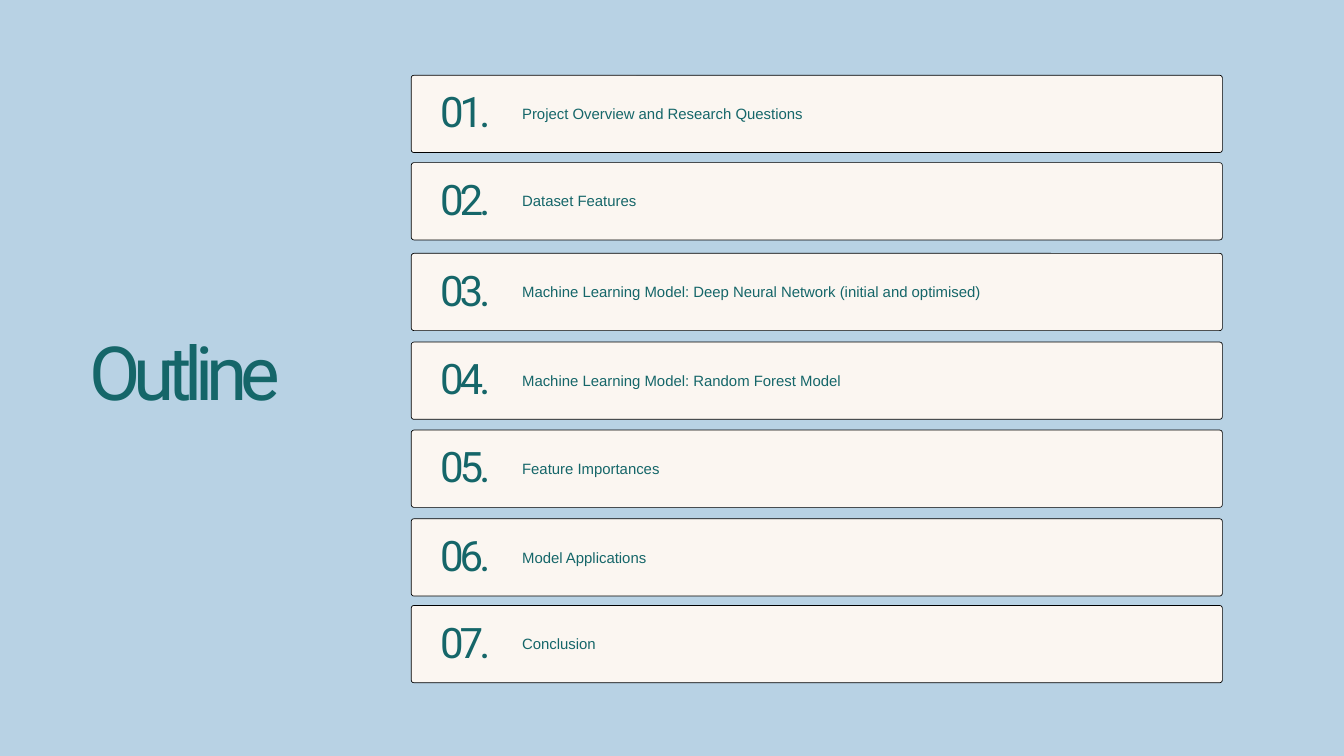
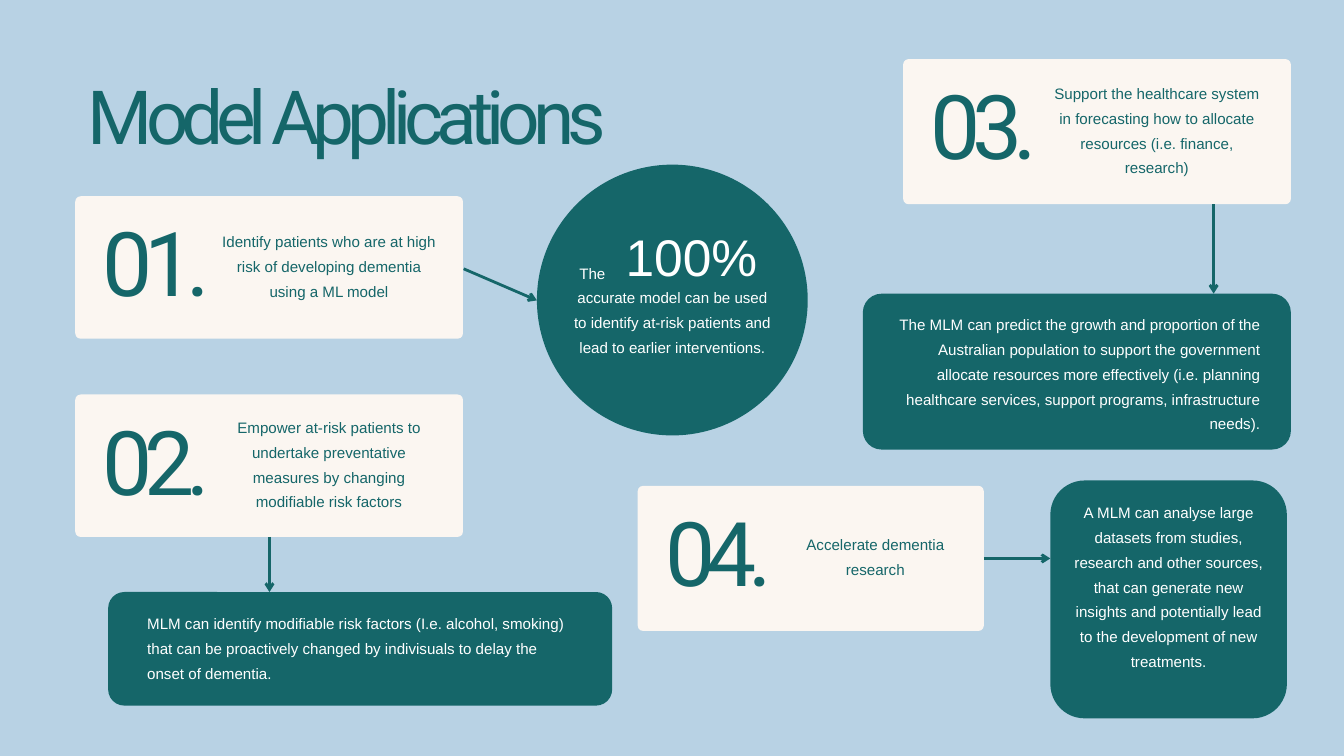
from pptx import Presentation
from pptx.dml.color import RGBColor
from pptx.enum.shapes import MSO_CONNECTOR as Link, MSO_SHAPE as Preset
from pptx.enum.text import MSO_AUTO_SIZE as AutoSize, PP_ALIGN as Align
from pptx.oxml.ns import qn
from pptx.util import Inches, Pt
from lxml.etree import SubElement

SKY = RGBColor(0xB8, 0xD2, 0xE4)
TEAL = RGBColor(0x15, 0x66, 0x69)
CREAM = RGBColor(0xFB, 0xF6, 0xF1)
WHITE = RGBColor(0xFF, 0xFF, 0xFF)
BLACK = RGBColor(0, 0, 0)

WIDTH, HEIGHT = Inches(20), Inches(11.25)
COLUMNS, ROWS = 20, 11.25
BODY_SIZE = 16.2
BODY_LEADING = 1.635
TEXT_LINE = 0.365  # height of one body line, in rows

TOPICS = [
    (1.12, "Project Overview and Research Questions"),
    (2.42, "Dataset Features"),
    (3.77, "Machine Learning Model: Deep Neural Network (initial and optimised)"),
    (5.09, "Machine Learning Model: Random Forest Model"),
    (6.40, "Feature Importances"),
    (7.72, "Model Applications"),
    (9.01, "Conclusion"),
]

# card box, label width, label lines, label
APPLICATIONS = [
    ((1.12, 2.92, 5.77, 2.12), 3.23, 3,
     "Identify patients who are at high risk of developing dementia using a ML model"),
    ((1.12, 5.87, 5.77, 2.12), 3.23, 4,
     "Empower at-risk patients to undertake preventative measures by changing "
     "modifiable risk factors"),
    ((13.44, 0.88, 5.77, 2.16), 3.23, 4,
     "Support the healthcare system in forecasting how to allocate resources "
     "(i.e. finance, research)"),
    ((9.49, 7.23, 5.15, 2.16), 2.75, 2, "Accelerate dementia research"),
]

# panel box, corner radius, text box, alignment, text
OUTCOMES = [
    ((1.61, 8.81, 7.5, 1.69), 0.24, (2.19, 9.05, 6.32, 1.06), Align.LEFT,
     "MLM can identify modifiable risk factors (I.e. alcohol, smoking) that can be "
     "proactively changed by indivisuals to delay the onset of dementia."),
    ((12.84, 4.37, 6.37, 2.32), 0.28, (13.17, 4.6, 5.58, 1.84), Align.RIGHT,
     "The MLM can predict the growth and proportion of the Australian population to "
     "support the government allocate resources more effectively (i.e. planning "
     "healthcare services, support programs, infrastructure needs)."),
    ((15.63, 7.15, 3.52, 3.54), 0.51, (15.89, 7.4, 3, 2.93), Align.CENTER,
     "A MLM can analyse large datasets from studies, research and other sources, "
     "that can generate new insights and potentially lead to the development of "
     "new treatments."),
]

ARROWS = [
    ((6.9, 4), (7.99, 4.47)),
    ((4.01, 7.99), (4.01, 8.81)),
    ((18.06, 3.04), (18.06, 4.37)),
    ((14.64, 8.31), (15.63, 8.31)),
]


class Deck:
    """Draws styled elements on the current slide; boxes are in columns and rows."""

    def __init__(self):
        self.prs = Presentation()
        self.prs.slide_width, self.prs.slide_height = WIDTH, HEIGHT
        self.slide = None

    def new_slide(self):
        self.slide = self.prs.slides.add_slide(self.prs.slide_layouts[6])
        background = self.slide.background.fill
        background.solid()
        background.fore_color.rgb = SKY

    def place(self, x, y):
        return round(x * WIDTH / COLUMNS), round(y * HEIGHT / ROWS)

    def shape(self, preset, box, fill, outline=None):
        shape = self.slide.shapes.add_shape(
            preset, *self.place(*box[:2]), *self.place(*box[2:]))
        shape.shadow.inherit = False
        shape.fill.solid()
        shape.fill.fore_color.rgb = fill
        if outline is None:
            shape.line.fill.background()
        else:
            shape.line.color.rgb = outline
            shape.line.width = Pt(0.75)
        return shape

    def rounded(self, box, radius, fill, outline=None):
        shape = self.shape(Preset.ROUNDED_RECTANGLE, box, fill, outline)
        shape.adjustments[0] = radius / min(box[2:])

    def text(self, box, words, size=BODY_SIZE, color=TEAL, align=Align.LEFT,
             font="Arial", leading=BODY_LEADING, tracking=0):
        """Leading and tracking are shares of the text size."""
        textbox = self.slide.shapes.add_textbox(
            *self.place(*box[:2]), *self.place(*box[2:]))
        frame = textbox.text_frame
        frame.word_wrap = True
        frame.auto_size = AutoSize.SHAPE_TO_FIT_TEXT
        frame.margin_left = frame.margin_right = 0
        frame.margin_top = frame.margin_bottom = 0
        paragraph = frame.paragraphs[0]
        paragraph.alignment = align
        paragraph.line_spacing = Pt(round(size * leading, 1))
        run = paragraph.add_run()
        run.text = words
        run.font.name = font
        run.font.size = Pt(size)
        run.font.color.rgb = color
        if tracking:
            run.font._element.set("spc", str(round(size * tracking * 100)))

    def display(self, box, words, size=80, align=Align.LEFT):
        """Tightly set heading or number."""
        self.text(box, words, size, align=align, font="Roboto",
                  leading=0.96, tracking=-0.096)

    def arrow(self, start, end):
        arrow = self.slide.shapes.add_connector(
            Link.STRAIGHT, *self.place(*start), *self.place(*end))
        arrow.line.color.rgb = TEAL
        arrow.line.width = Pt(3)
        SubElement(arrow.line._get_or_add_ln(), qn("a:tailEnd"), type="arrow")
        SubElement(arrow._element.spPr, qn("a:effectLst"))

    def topic(self, number, top, label):
        left = 6.12
        self.rounded((left, top, 12.07, 1.15), 0.04, CREAM, BLACK)
        self.display((left + 0.43, top + 0.31, 2, 0.64), f"{number:02}.", 45)
        self.text((left + 1.65, top + 0.34, 8.47, 0.37), label, 16)

    def card(self, number, box, label_width, lines, label):
        left, top, _, height = box
        label_height = lines * TEXT_LINE
        label_top = top + (height - label_height) / 2 - 0.07
        self.rounded(box, 0.08, CREAM)
        self.display((left + 0.25, top + 0.49, 1.91, 1.35), f"{number:02}.",
                     95.6, Align.CENTER)
        self.text((left + 2.16, label_top, label_width, label_height), label,
                  align=Align.CENTER)

    def panel(self, box, radius, text_box, align, words):
        self.rounded(box, radius, TEAL)
        self.text(text_box, words, color=WHITE, align=align)


def outline(deck):
    deck.new_slide()
    deck.display((1.33, 5.12, 3.62, 1.14), "Outline")
    for number, (top, label) in enumerate(TOPICS, 1):
        deck.topic(number, top, label)


def model_applications(deck):
    deck.new_slide()
    deck.shape(Preset.OVAL, (7.99, 2.45, 4.03, 4.03), TEAL)
    deck.text((8.62, 3.83, 0.48, 0.38), "The", color=WHITE)
    deck.text((9.11, 3.19, 2.36, 1.21), "100%", 55.2, WHITE, Align.CENTER, leading=1.4)
    deck.text((8.51, 4.2, 2.99, 1.48),
              "accurate model can be used to identify at-risk patients and lead to "
              "earlier interventions.", color=WHITE, align=Align.CENTER)
    deck.display((1.31, 1.31, 10.04, 1.14), "Model Applications")
    for number, application in enumerate(APPLICATIONS, 1):
        deck.card(number, *application)
    for outcome in OUTCOMES:
        deck.panel(*outcome)
    for start, end in ARROWS:
        deck.arrow(start, end)


def main():
    deck = Deck()
    outline(deck)
    model_applications(deck)
    deck.prs.save("out.pptx")


if __name__ == "__main__":
    main()
